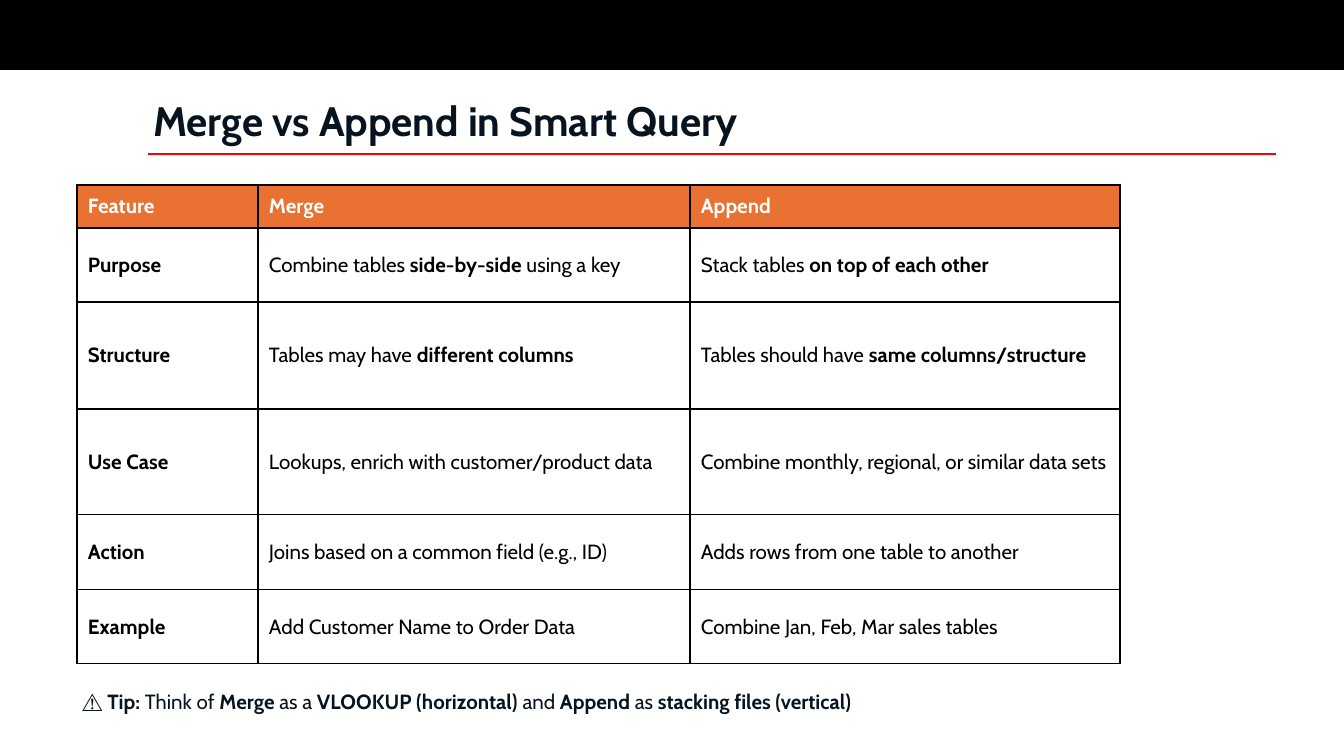
from lxml import etree
from pptx import Presentation
from pptx.dml.color import RGBColor
from pptx.enum.shapes import MSO_CONNECTOR, MSO_SHAPE
from pptx.enum.text import MSO_ANCHOR
from pptx.oxml import parse_xml
from pptx.oxml.ns import nsdecls, qn
from pptx.util import Pt

PX = 914400 / 134.4
RECTANGLE = MSO_SHAPE.RECTANGLE
STRAIGHT = MSO_CONNECTOR.STRAIGHT
TOP, MIDDLE, BOTTOM = MSO_ANCHOR.TOP, MSO_ANCHOR.MIDDLE, MSO_ANCHOR.BOTTOM

BLACK = RGBColor(0, 0, 0)
WHITE = RGBColor(255, 255, 255)
RED = RGBColor(255, 0, 0)
ORANGE = RGBColor(0xE9, 0x71, 0x32)
NAVY = RGBColor(0x07, 0x14, 0x20)
FONT = "Cabin"
BODY_SIZE = 11
TITLE_SIZE = 22

TITLE = "**Merge vs Append in Smart Query**"
TIP = ("**⚠️ Tip: **Think of **Merge** as a **VLOOKUP (horizontal) **"
       "and **Append** as **stacking files (vertical)**")
COLUMN_WIDTHS = [181, 432, 430]
ROW_HEIGHTS = [43, 74, 107, 106, 75, 74]
ROWS = [
    ["**Feature**", "**Merge**", "**Append**"],
    ["**Purpose**", "Combine tables **side-by-side** using a key",
     "Stack tables **on top of each other**"],
    ["**Structure**", "Tables may have **different columns**",
     "Tables should have **same columns/structure**"],
    ["**Use Case**", "Lookups, enrich with customer/product data",
     "Combine monthly, regional, or similar data sets"],
    ["**Action**", "Joins based on a common field (e.g., ID)",
     "Adds rows from one table to another"],
    ["**Example**", "Add Customer Name to Order Data",
     "Combine Jan, Feb, Mar sales tables"],
]


def px(length):
    return round(length * PX)


def write_text(paragraph, marked_text, size, color):
    paragraph.font.name = FONT
    paragraph.font.size = Pt(size)
    paragraph.font.color.rgb = color
    for index, part in enumerate(marked_text.split("**")):
        if part:
            run = paragraph.add_run()
            run.text = part
            run.font.bold = index % 2 == 1


def add_text(slide, box, marked_text, size, anchor):
    shape = slide.shapes.add_textbox(*map(px, box))
    frame = shape.text_frame
    frame.word_wrap = True
    frame.vertical_anchor = anchor
    paragraph = frame.paragraphs[0]
    paragraph.line_spacing = 0.9
    write_text(paragraph, marked_text, size, NAVY)


def add_banner(slide, box):
    shape = slide.shapes.add_shape(RECTANGLE, *map(px, box))
    shape.shadow.inherit = False
    shape.fill.solid()
    shape.fill.fore_color.rgb = BLACK
    shape.line.fill.background()


def add_heading(slide, box):
    left, top, width, height = box
    line_top = top + height + 2
    line = slide.shapes.add_connector(
        STRAIGHT, px(left + 8), px(line_top), px(left + width), px(line_top))
    line.line.color.rgb = RED
    line.line.width = Pt(1)
    etree.SubElement(line._element.spPr, qn("a:effectLst"))
    add_text(slide, box, TITLE, TITLE_SIZE, BOTTOM)


def add_borders(cell):
    properties = cell._tc.get_or_add_tcPr()
    for index, side in enumerate(("lnL", "lnR", "lnT", "lnB")):
        properties.insert(index, parse_xml(
            f'<a:{side} {nsdecls("a")} w="{Pt(0.75)}"><a:solidFill>'
            f'<a:srgbClr val="{BLACK}"/></a:solidFill></a:{side}>'))


def add_comparison(slide, left, top):
    table = slide.shapes.add_table(
        len(ROWS), len(COLUMN_WIDTHS), px(left), px(top),
        px(sum(COLUMN_WIDTHS)), px(sum(ROW_HEIGHTS))).table
    table.horz_banding = False
    table.first_row = False
    for column, width in zip(table.columns, COLUMN_WIDTHS):
        column.width = px(width)
    for row_index, (row, height) in enumerate(zip(table.rows, ROW_HEIGHTS)):
        row.height = px(height)
        is_header = row_index == 0
        for cell, marked_text in zip(row.cells, ROWS[row_index]):
            cell.vertical_anchor = MIDDLE
            cell.margin_left = cell.margin_right = px(11)
            cell.margin_top = cell.margin_bottom = px(5)
            if is_header:
                cell.fill.solid()
                cell.fill.fore_color.rgb = ORANGE
            else:
                cell.fill.background()
            add_borders(cell)
            write_text(cell.text_frame.paragraphs[0], marked_text, BODY_SIZE,
                       WHITE if is_header else BLACK)


def main():
    presentation = Presentation()
    presentation.slide_width = px(1344)
    presentation.slide_height = px(756)
    slide = presentation.slides.add_slide(presentation.slide_layouts[6])
    add_banner(slide, (0, 0, 1344, 70))
    add_heading(slide, (140, 82, 1136, 70))
    add_comparison(slide, 77, 185)
    add_text(slide, (69, 685, 1207, 46), TIP, BODY_SIZE, TOP)
    presentation.save("out.pptx")


if __name__ == "__main__":
    main()
